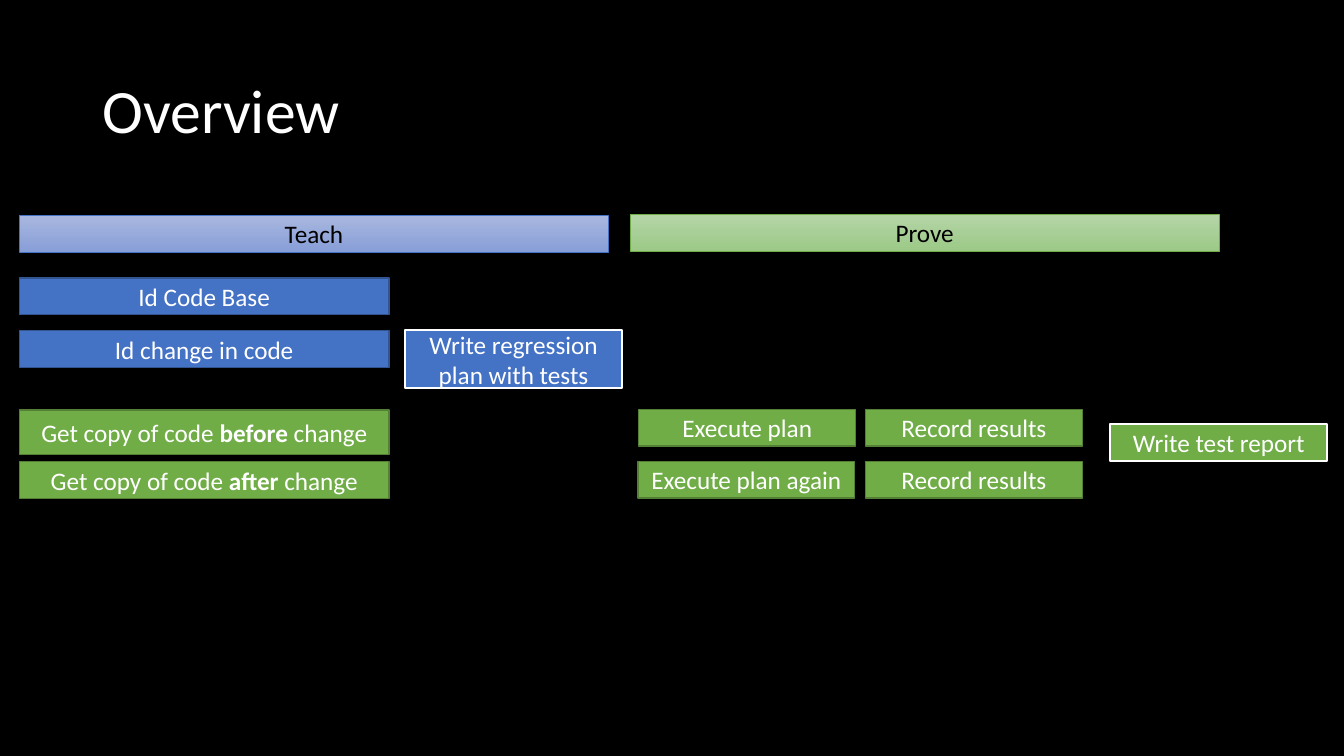
from pptx import Presentation
from pptx.dml.color import RGBColor
from pptx.enum.shapes import MSO_SHAPE
from pptx.enum.text import MSO_ANCHOR, PP_ALIGN
from pptx.util import Pt

RECTANGLE = MSO_SHAPE.RECTANGLE
MIDDLE = MSO_ANCHOR.MIDDLE
LEFT, CENTER = PP_ALIGN.LEFT, PP_ALIGN.CENTER

BLACK = RGBColor(0x00, 0x00, 0x00)
WHITE = RGBColor(0xFF, 0xFF, 0xFF)
BLUE = RGBColor(0x44, 0x72, 0xC4)
DARK_BLUE = RGBColor(0x32, 0x54, 0x91)
PALE_BLUES = RGBColor(0xA8, 0xB7, 0xDF), RGBColor(0x88, 0x9E, 0xD7)
GREEN = RGBColor(0x70, 0xAD, 0x47)
DARK_GREEN = RGBColor(0x53, 0x80, 0x35)
PALE_GREENS = RGBColor(0xB5, 0xD5, 0xA7), RGBColor(0x9C, 0xC9, 0x87)

FONT = "Calibri"
BAR_HEIGHT = 26.2
LONG, SHORT = 264.2, 155


def write(frame, *texts, bold=None, size=18, color=WHITE, align=CENTER):
    """Fill one paragraph with the texts; the one equal to bold is set bold."""
    frame.word_wrap = True
    frame.vertical_anchor = MIDDLE
    para = frame.paragraphs[0]
    para.alignment = align
    for text in texts:
        span = para.add_run()
        span.text = text
        span.font.name = FONT
        span.font.size = Pt(size)
        span.font.bold = text == bold
        span.font.color.rgb = color
    return para


def add_bar(page, left, top, width, *texts, height=BAR_HEIGHT, fill=BLUE,
            line=DARK_BLUE, weight=1, **text_format):
    """Draw a labelled bar; a pair of fill colours makes a downward gradient."""
    bar = page.shapes.add_shape(RECTANGLE, Pt(left), Pt(top), Pt(width), Pt(height))
    bar.shadow.inherit = False
    if isinstance(fill, RGBColor):
        bar.fill.solid()
        bar.fill.fore_color.rgb = fill
    else:
        bar.fill.gradient()
        bar.fill.gradient_angle = 270
        for stop, color in zip(bar.fill.gradient_stops, fill):
            stop.color.rgb = color
    bar.line.color.rgb = line
    bar.line.width = Pt(weight)
    write(bar.text_frame, *texts, **text_format)


def add_title(page, left, top, width, height):
    title = page.shapes.title
    title.left, title.top = Pt(left), Pt(top)
    title.width, title.height = Pt(width), Pt(height)
    para = write(title.text_frame, "Overview", size=44, align=LEFT)
    para.line_spacing = 0.9


def add_teach(page, left, top, width):
    add_bar(page, left, top, width, "Teach", fill=PALE_BLUES, line=BLUE,
            weight=0.5, color=BLACK)
    add_bar(page, left, top + 44.7, LONG, "Id Code Base")
    add_bar(page, left, top + 82.2, LONG, "Id change in code")
    add_bar(page, left + 275.6, top + 82, SHORT, "Write regression plan with tests",
            height=41, line=WHITE, weight=1.5)
    for offset, height, moment in ((138.8, 32, "before"), (175.8, BAR_HEIGHT, "after")):
        add_bar(page, left, top + offset, LONG, "Get copy of code ", moment, " change",
                bold=moment, height=height, fill=GREEN, line=DARK_GREEN)


def add_prove(page, left, top, width):
    add_bar(page, left, top, width, "Prove", fill=PALE_GREENS, line=GREEN,
            weight=0.5, color=BLACK)
    for indent, offset, action in ((6.3, 139.2, "Execute plan"),
                                   (5.6, 176.4, "Execute plan again")):
        for shift, text in ((indent, action), (168.2, "Record results")):
            add_bar(page, left + shift, top + offset, SHORT, text,
                    fill=GREEN, line=DARK_GREEN)
    add_bar(page, left + 343.2, top + 150, SHORT, "Write test report",
            fill=GREEN, line=WHITE, weight=1.5)


def main():
    deck = Presentation()
    deck.slide_width, deck.slide_height = Pt(960), Pt(540)
    page = deck.slides.add_slide(deck.slide_layouts.get_by_name("Title Only"))
    page.background.fill.solid()
    page.background.fill.fore_color.rgb = BLACK
    add_title(page, 66, 28.8, 828, 104.4)
    add_teach(page, 13.8, 154, 421)
    add_prove(page, 450, 153.2, 421)
    deck.save("out.pptx")


if __name__ == "__main__":
    main()
